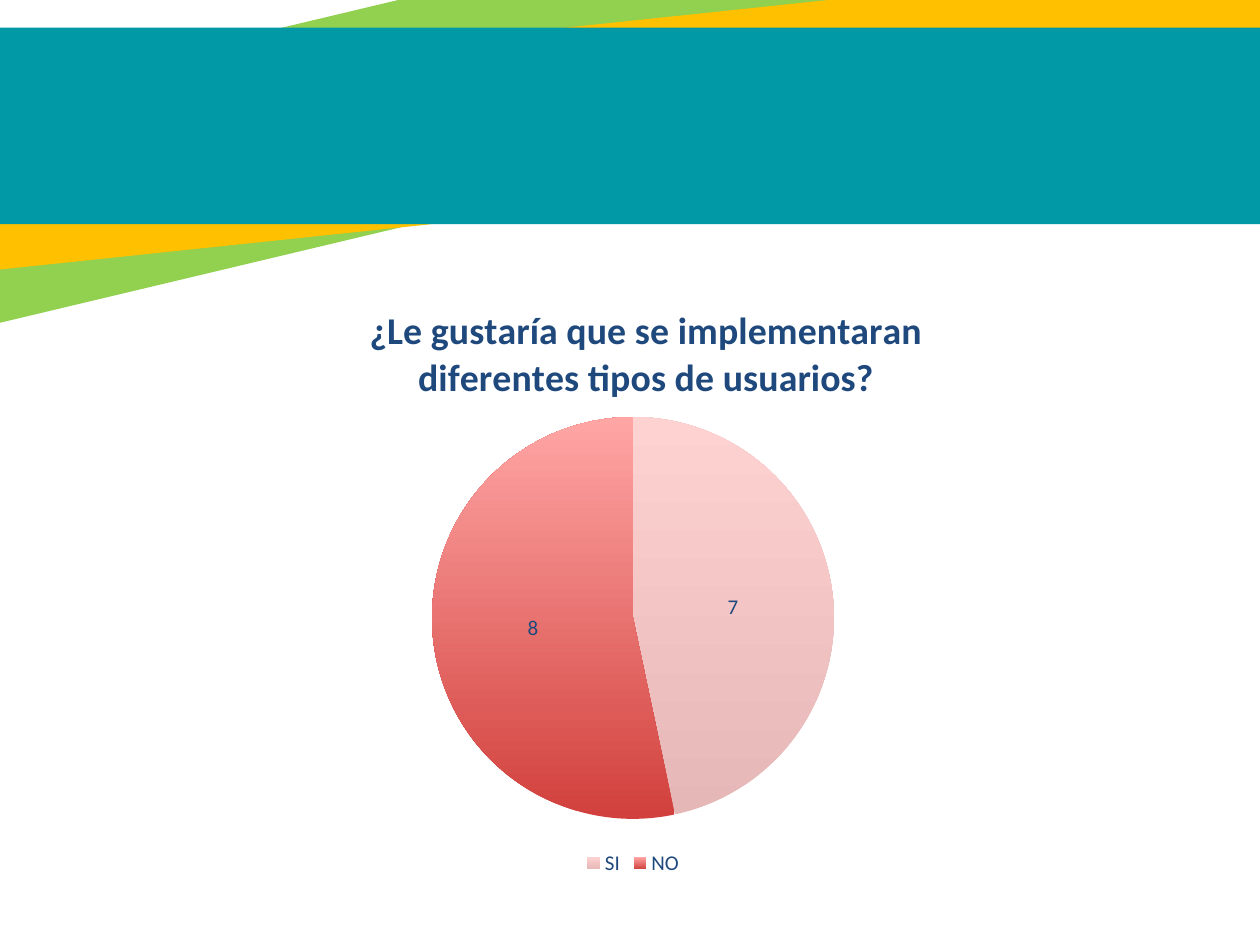
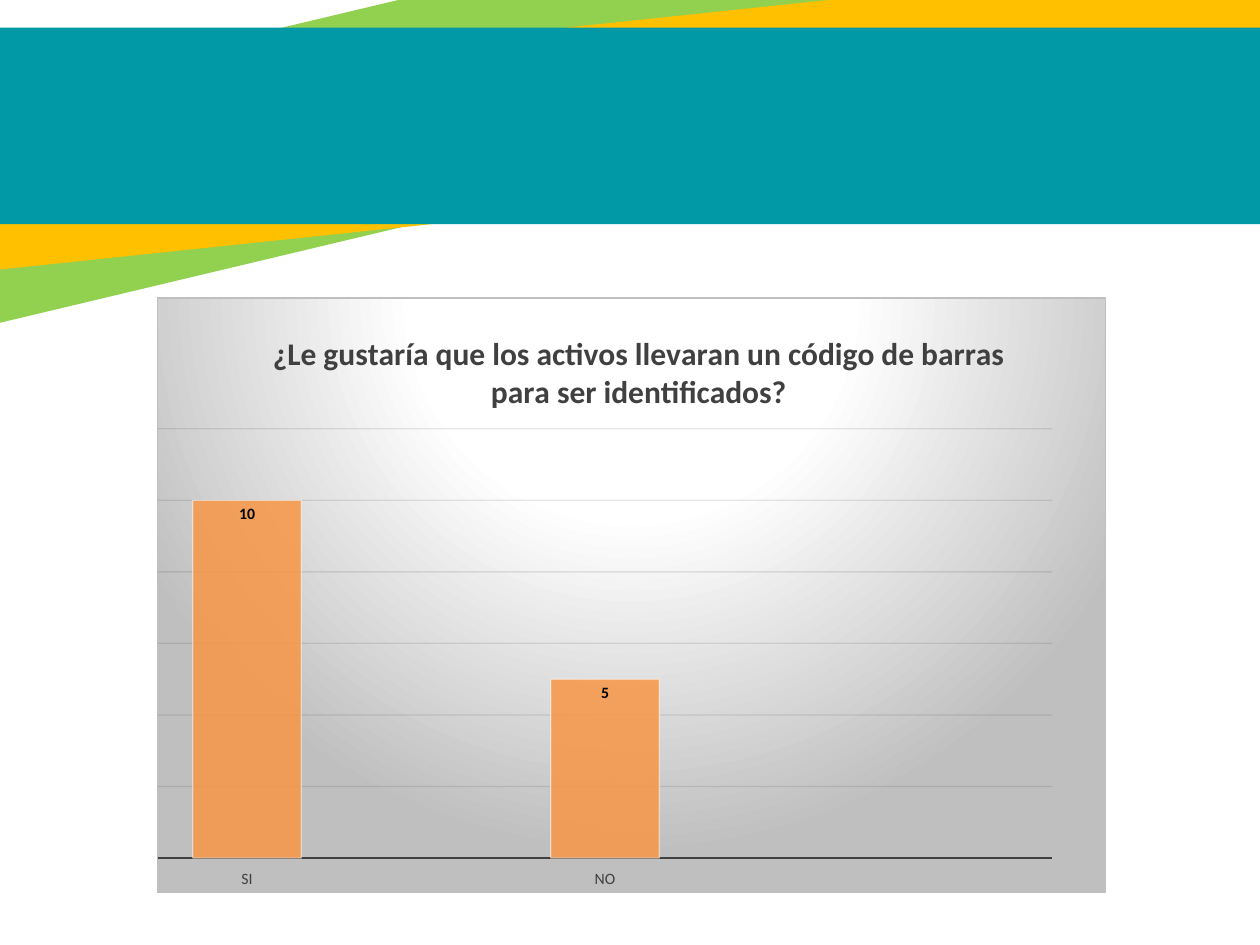
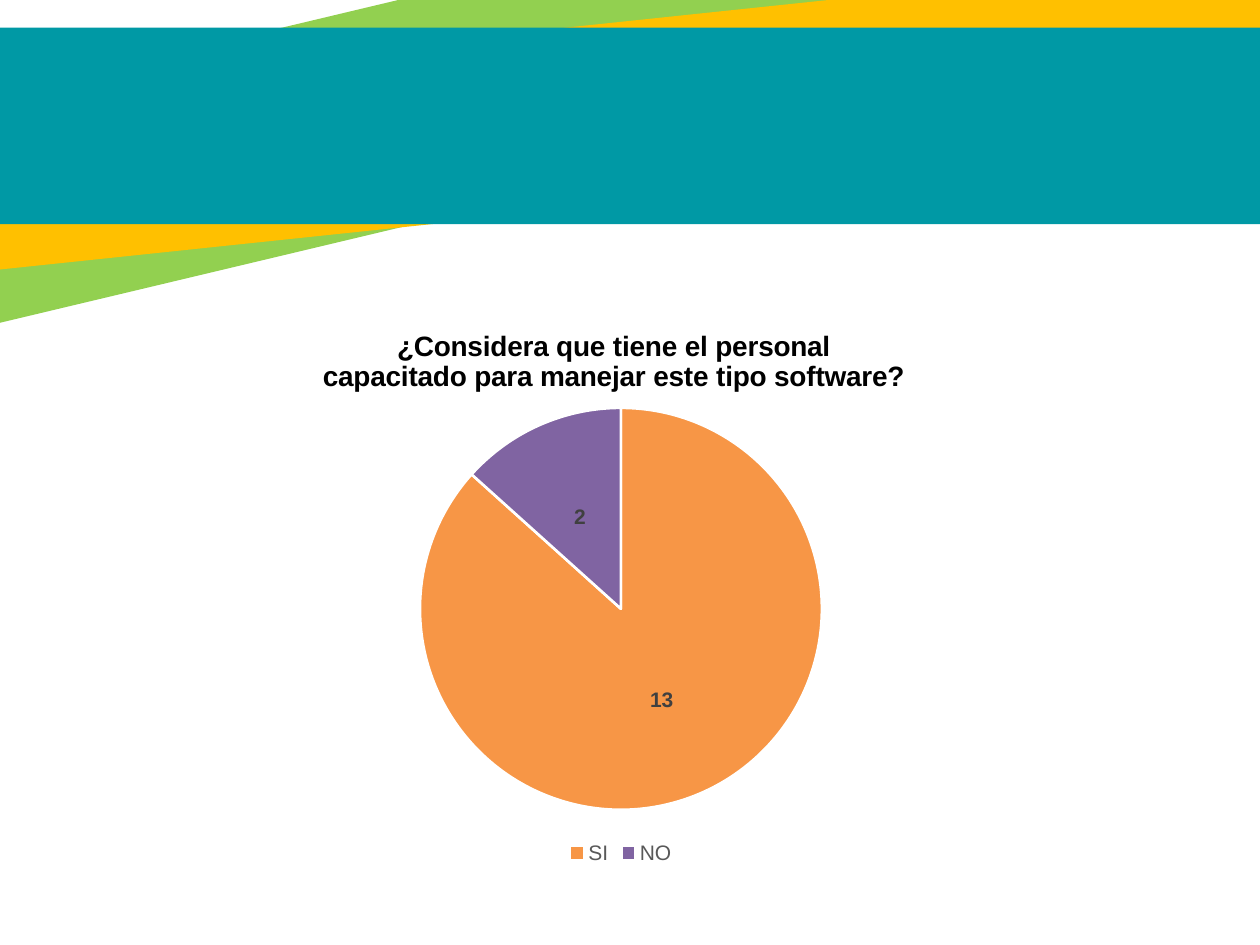
"""Build three survey result slides with shared bands and one chart each."""
from dataclasses import dataclass
from typing import Optional

from lxml import etree
from pptx import Presentation
from pptx.chart.chart import Chart
from pptx.chart.data import CategoryChartData
from pptx.dml.color import RGBColor
from pptx.enum.chart import XL_CHART_TYPE, XL_LABEL_POSITION, XL_LEGEND_POSITION, XL_TICK_LABEL_POSITION, XL_TICK_MARK
from pptx.enum.shapes import MSO_SHAPE
from pptx.oxml import parse_xml
from pptx.oxml.ns import nsdecls, qn
from pptx.slide import Slide
from pptx.util import Pt

PIE, COLUMN = XL_CHART_TYPE.PIE, XL_CHART_TYPE.COLUMN_CLUSTERED
CENTER, INSIDE_END = XL_LABEL_POSITION.CENTER, XL_LABEL_POSITION.INSIDE_END
BOTTOM = XL_LEGEND_POSITION.BOTTOM
LOW = XL_TICK_LABEL_POSITION.LOW
NO_TICK = XL_TICK_MARK.NONE
RECT = MSO_SHAPE.RECTANGLE

GREEN, AMBER, TEAL = "92D050", "FFC000", "0099A5"
NAVY, ORANGE, WHITE, BLACK = "1F497D", "F79646", "FFFFFF", "000000"
DARK, GRAY, SILVER, GRID = "404040", "595959", "BFBFBF", "0D0D0D"

CATEGORIES = ("SI", "", "NO", "", "")
EMPTY_ENTRIES = [i for i, label in enumerate(CATEGORIES) if not label]

Box = tuple[float, float, float, float]


@dataclass(frozen=True)
class Band:
    """A coloured strip of the header."""
    box: Box
    color: str
    rotation: float = 0


@dataclass(frozen=True)
class Text:
    """The look of a piece of chart text."""
    size: float
    color: str
    name: str = "Calibri"
    bold: bool = False


@dataclass(frozen=True)
class Survey:
    """One question with its answers and its chart, all lengths in points."""
    question: str
    yes: int
    no: int
    kind: XL_CHART_TYPE
    box: Box
    plot: Box
    title_at: tuple[float, float]
    title: Text
    labels: Text
    legend: Optional[Text] = None
    fills: tuple[tuple[str, ...], ...] = ()
    edge: Optional[str] = None


BANDS = (
    Band((-180.72, -12.96, 940.32, 126.72), GREEN, 346.6),
    Band((-79.2, 14.4, 837.36, 103.68), AMBER, 354),
    Band((-76.32, 15.84, 837.36, 112.32), TEAL),
)

SURVEYS = (
    Survey("¿Le gustaría que se implementaran\ndiferentes tipos de usuarios?", 7, 8, PIE,
           (106.56, 157.68, 510.48, 345.6), (246.9, 238.3, 229.7, 229.7), (209, 172),
           Text(21.6, NAVY, bold=True), Text(12, NAVY), Text(12, NAVY),
           (("E5B7B6", "FFD2D2"), ("DA8A89", "FFBDBC"), ("D1403C", "FFA6A5"),
            ("BA3835", "FAA2A1"), ("9F302D", "E9A9A8"))),
    Survey("¿Le gustaría que los activos llevaran un código de barras para ser identificados?",
           10, 5, COLUMN,
           (89.28, 169.92, 542.88, 340.56), (89.28, 244.84, 512.48, 245.88), (152, 186),
           Text(18, DARK, bold=True), Text(9, BLACK, bold=True)),
    Survey("¿Considera que tiene el personal\ncapacitado para manejar este tipo software?",
           13, 2, PIE,
           (122.4, 170.64, 465.12, 326.16), (240, 233.1, 229.7, 229.7), (182.3, 186),
           Text(16, BLACK, "Arial", True), Text(12, DARK, "Arial", True), Text(12, GRAY, "Arial"),
           ((ORANGE,), ("4BACC6",), ("8064A2",), ("B65708",), ("276A7C",)), WHITE),
)


def rgb(color: str) -> RGBColor:
    """Turn a hex string into a colour."""
    return RGBColor.from_string(color)


def set_font(font, text: Text) -> None:
    """Apply a text look to a font."""
    formats = {"name": text.name, "size": Pt(text.size), "bold": text.bold}
    for key, value in formats.items():
        setattr(font, key, value)
    font.color.rgb = rgb(text.color)


def set_line(line, color: str, width: float) -> None:
    """Give a line a colour and a width."""
    line.color.rgb = rgb(color)
    line.width = Pt(width)


def set_fill(fill, colors: tuple[str, ...]) -> None:
    """Fill with one colour, or with a gradient from bottom to top."""
    if len(colors) == 1:
        fill.solid()
        fill.fore_color.rgb = rgb(colors[0])
        return
    fill.gradient()
    fill.gradient_angle = 90
    for stop, color, position in zip(fill.gradient_stops, colors, (0, 1)):
        stop.color.rgb = rgb(color)
        stop.position = position


def fade(chart: Chart, route: str, percent: int) -> None:
    """Set the opacity of the colours found at a route."""
    for color in chart.element.xpath(f".//{route}/a:solidFill/a:srgbClr"):
        etree.SubElement(color, qn("a:alpha"), val=str(percent * 1000))


def place(parent, index: int, frame: Box, inner: Box) -> None:
    """Fix the place of a chart part given in slide points; zero size means automatic."""
    left, top, width, height = frame
    x, y, w, h = inner
    parts = [("x", (x - left) / width), ("y", (y - top) / height)]
    target = ""
    if w:
        parts += [("w", w / width), ("h", h / height)]
        target = '<c:layoutTarget val="inner"/>'
    modes = "".join(f'<c:{key}Mode val="edge"/>' for key in "xy")
    values = "".join(f'<c:{key} val="{value:.4f}"/>' for key, value in parts)
    for old in parent.findall(qn("c:layout")):
        parent.remove(old)
    parent.insert(index, parse_xml(
        f'<c:layout {nsdecls("c")}><c:manualLayout>{target}{modes}{values}</c:manualLayout></c:layout>'))


def add_bands(s: Slide) -> None:
    """Draw the header bands."""
    for band in BANDS:
        sp = s.shapes.add_shape(RECT, *map(Pt, band.box))
        sp.rotation = band.rotation
        sp.shadow.inherit = False
        set_fill(sp.fill, (band.color,))
        sp.line.fill.background()


def style_pie(chart: Chart, survey: Survey) -> None:
    """Colour the slices and show a legend of the named answers."""
    for i, colors in enumerate(survey.fills):
        fmt = chart.plots[0].series[0].points[i].format
        set_fill(fmt.fill, colors)
        if survey.edge:
            set_line(fmt.line, survey.edge, 1.5)
        else:
            fmt.line.fill.background()
    chart.has_legend = True
    legend = chart.legend
    legend.position = BOTTOM
    legend.include_in_layout = False
    set_font(legend.font, survey.legend)
    position = chart.element.find(".//" + qn("c:legendPos"))
    for i in reversed(EMPTY_ENTRIES):
        position.addnext(parse_xml(
            f'<c:legendEntry {nsdecls("c")}><c:idx val="{i}"/><c:delete val="1"/></c:legendEntry>'))


def style_columns(chart: Chart) -> None:
    """Style the columns, the axes and the shaded chart area."""
    chart.has_legend = False
    plot = chart.plots[0]
    plot.gap_width = 65
    fmt = plot.series[0].format
    set_fill(fmt.fill, (ORANGE,))
    set_line(fmt.line, WHITE, 0.75)
    fade(chart, "c:ser/c:spPr", 85)
    fade(chart, "c:ser/c:spPr/a:ln", 50)
    axis = chart.category_axis
    axis.major_tick_mark = NO_TICK
    axis.tick_label_position = LOW
    set_font(axis.tick_labels.font, Text(9, DARK))
    set_line(axis.format.line, DARK, 1.5)
    axis = chart.value_axis
    scale = {"minimum_scale": 0, "maximum_scale": 12, "major_unit": 2,
             "has_major_gridlines": True, "visible": False}
    for key, value in scale.items():
        setattr(axis, key, value)
    set_line(axis.major_gridlines.format.line, GRID, 0.75)
    fade(chart, "c:majorGridlines/c:spPr/a:ln", 10)
    stops = "".join(f'<a:gs pos="{position * 1000}"><a:srgbClr val="{color}"/></a:gs>'
                    for position, color in ((0, WHITE), (39, WHITE), (100, SILVER)))
    chart.element.find(qn("c:chart")).addnext(parse_xml(
        f'<c:spPr {nsdecls("c", "a")}><a:gradFill><a:gsLst>{stops}</a:gsLst>'
        '<a:path path="circle"><a:fillToRect l="50000" t="-80000" r="50000" b="180000"/></a:path>'
        f'</a:gradFill><a:ln w="{Pt(0.75)}"><a:solidFill><a:srgbClr val="{SILVER}"/></a:solidFill></a:ln>'
        '</c:spPr>'))


def add_survey(s: Slide, survey: Survey) -> None:
    """Draw the chart of one survey question."""
    data = CategoryChartData()
    data.categories = CATEGORIES
    data.add_series("Series 1", (survey.yes, None, survey.no, None, None))
    chart = s.shapes.add_chart(survey.kind, *map(Pt, survey.box), data).chart
    set_font(chart.font, Text(10, BLACK))
    chart.has_title = True
    tf = chart.chart_title.text_frame
    tf.text = survey.question
    for p in tf.paragraphs:
        for r in p.runs:
            set_font(r.font, survey.title)
    place(chart.element.find(".//" + qn("c:title")), 1, survey.box, (*survey.title_at, 0, 0))
    place(chart.element.find(".//" + qn("c:plotArea")), 0, survey.box, survey.plot)
    plot = chart.plots[0]
    plot.vary_by_categories = survey.kind == PIE
    plot.has_data_labels = True
    labels = plot.data_labels
    formats = {"show_value": True, "show_percentage": False,
               "position": CENTER if survey.kind == PIE else INSIDE_END}
    for key, value in formats.items():
        setattr(labels, key, value)
    set_font(labels.font, survey.labels)
    if survey.kind == PIE:
        style_pie(chart, survey)
    else:
        style_columns(chart)


def main() -> None:
    """Build and save the presentation."""
    prs = Presentation()
    prs.slide_width, prs.slide_height = Pt(720), Pt(540)
    for survey in SURVEYS:
        s = prs.slides.add_slide(prs.slide_layouts[6])
        add_bands(s)
        add_survey(s, survey)
    prs.save("out.pptx")


if __name__ == "__main__":
    main()
